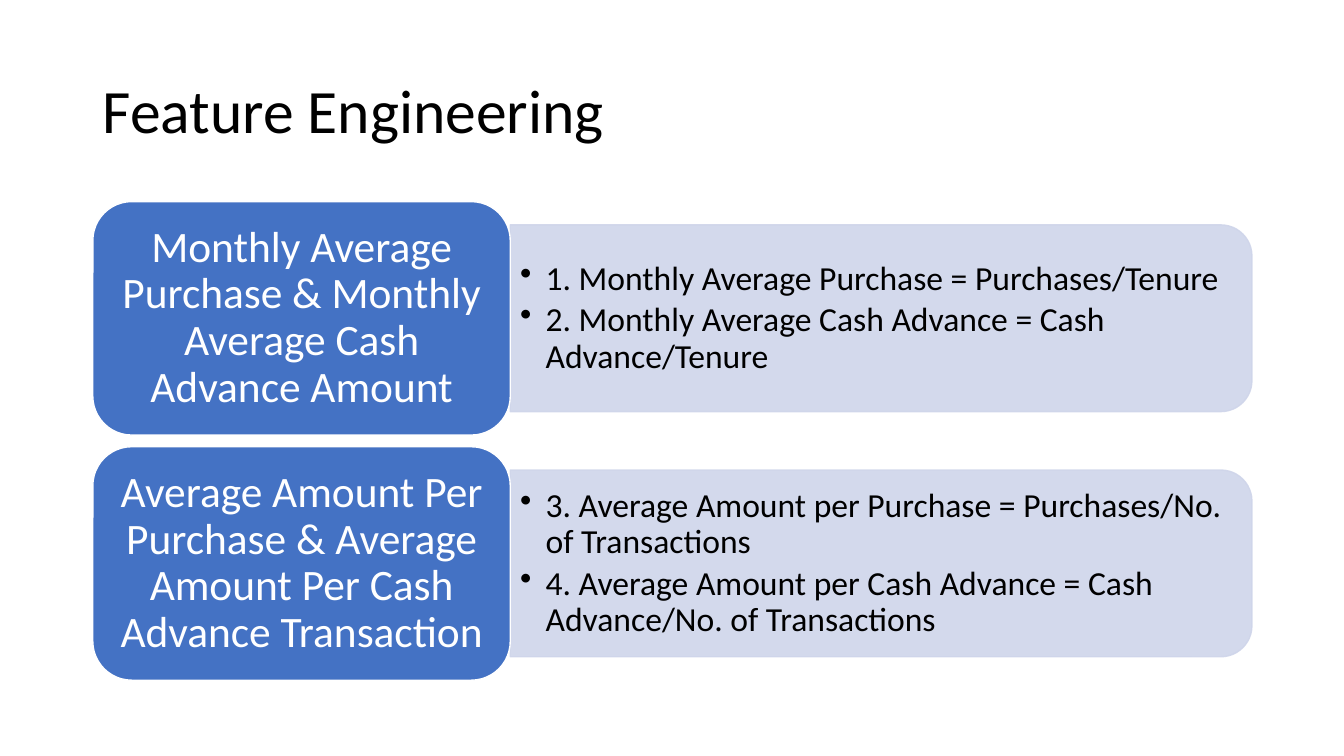
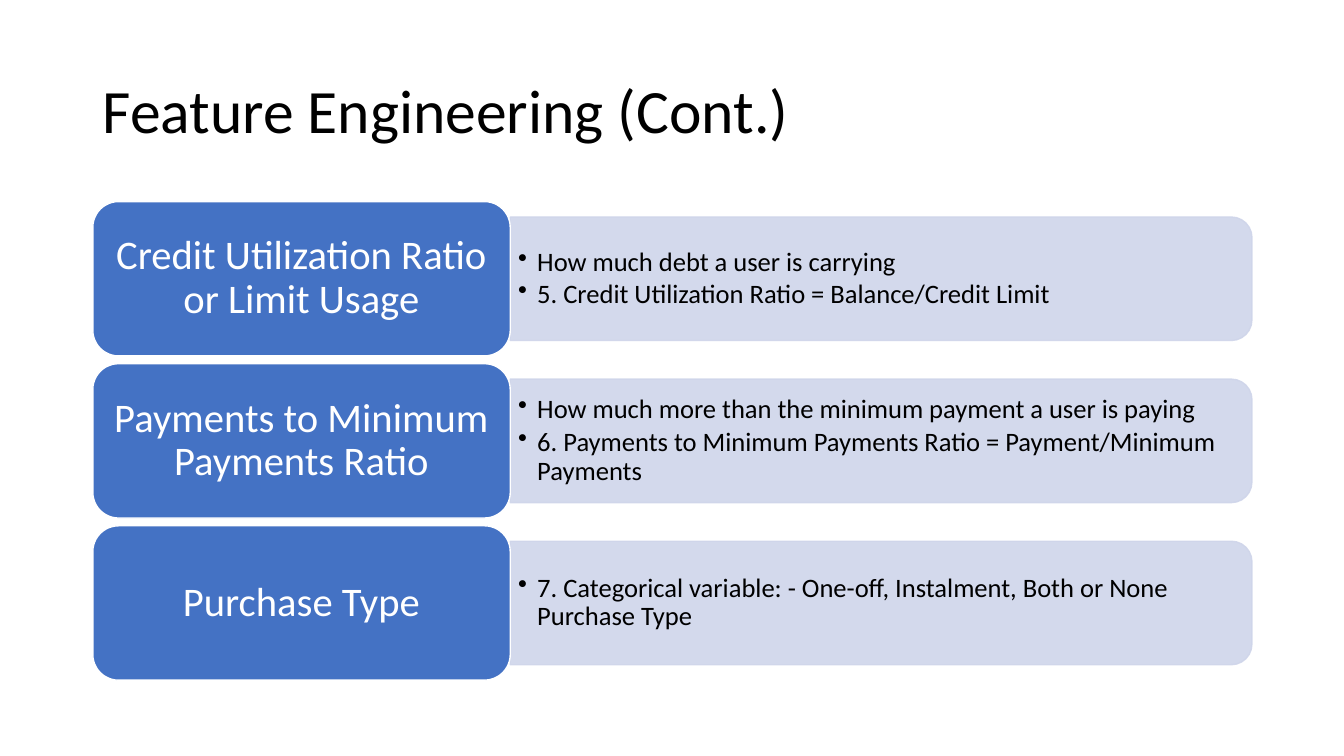
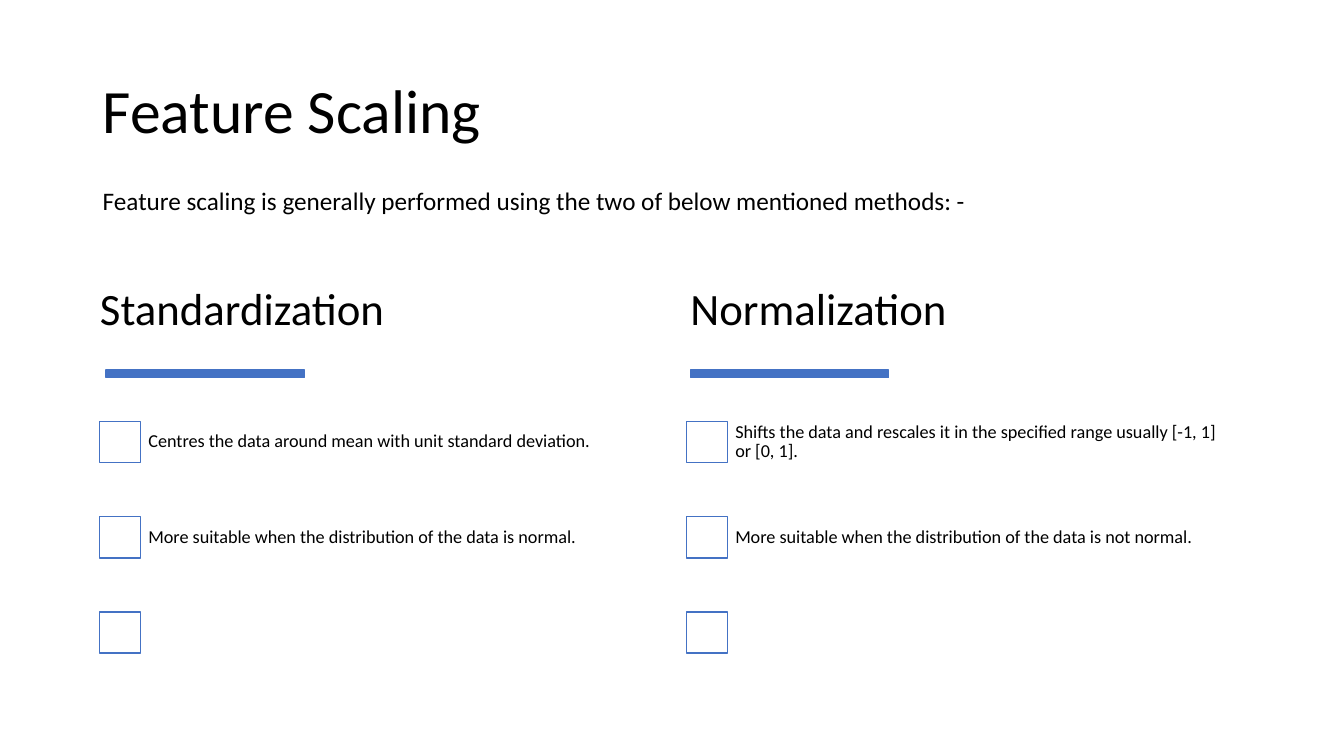
"""Build three slides on feature engineering and feature scaling."""
from dataclasses import dataclass

from lxml.etree import SubElement
from pptx import Presentation
from pptx.dml.color import RGBColor
from pptx.enum.shapes import MSO_SHAPE
from pptx.enum.text import MSO_ANCHOR, PP_ALIGN
from pptx.oxml.ns import qn
from pptx.shapes.autoshape import Shape
from pptx.slide import Slide
from pptx.text.text import TextFrame
from pptx.util import Cm, Pt

FONT = "Calibri"
BLACK = RGBColor(0x00, 0x00, 0x00)
WHITE = RGBColor(0xFF, 0xFF, 0xFF)
BLUE = RGBColor(0x44, 0x72, 0xC4)
PALE = RGBColor(0xCF, 0xD5, 0xEA)

LEFT = 2.34
TOP = 5.08
STACK = 12.06
CARD = 10.52
PANEL = 18.69
CORNER = 0.05


@dataclass
class Box:
    left: float
    top: float
    width: float
    height: float


@dataclass
class Style:
    size: float
    color: RGBColor = BLACK
    align: PP_ALIGN = PP_ALIGN.LEFT
    spacing: float = 0.9
    pad: tuple[float, float] = (0.25, 0.13)
    indent: float = 0
    wrap: bool = True


@dataclass
class Row:
    head: str
    points: list[str]


@dataclass
class Deck:
    title: str
    card: Style
    panel: Style
    rows: list[Row]


@dataclass
class Column:
    head: str
    left: float
    bar: float
    check: float
    points: list[str]


TITLE = Style(44)
INTRO = Style(18, spacing=1, wrap=False)
HEAD = Style(32, pad=(0.18, 0.1))
POINT = Style(13, pad=(0.25, 0.25))

DECKS = [
    Deck(
        "Feature Engineering",
        Style(31, WHITE, PP_ALIGN.CENTER, pad=(0.33, 0.15)),
        Style(24, indent=0.64),
        [
            Row("Monthly Average Purchase & Monthly Average Cash Advance Amount", [
                "1. Monthly Average Purchase = Purchases/Tenure",
                "2. Monthly Average Cash Advance = Cash Advance/Tenure",
            ]),
            Row("Average Amount Per Purchase & Average Amount Per Cash Advance Transaction", [
                "3. Average Amount per Purchase = Purchases/No. of Transactions",
                "4. Average Amount per Cash Advance = Cash Advance/No. of Transactions",
            ]),
        ],
    ),
    Deck(
        "Feature Engineering (Cont.)",
        Style(29, WHITE, PP_ALIGN.CENTER, pad=(0.3, 0.15)),
        Style(19, pad=(0.2, 0.1), indent=0.48),
        [
            Row("Credit Utilization Ratio or Limit Usage", [
                "How much debt a user is carrying",
                "5. Credit Utilization Ratio = Balance/Credit Limit",
            ]),
            Row("Payments to Minimum Payments Ratio", [
                "How much more than the minimum payment a user is paying",
                "6. Payments to Minimum Payments Ratio = Payment/Minimum Payments",
            ]),
            Row("Purchase Type", [
                "7. Categorical variable: - One-off, Instalment, Both or None Purchase Type",
            ]),
        ],
    ),
]

COLUMNS = [
    Column("Standardization", LEFT, 2.67, 2.51, [
        "Centres the data around mean with unit standard deviation.",
        "More suitable when the distribution of the data is normal.",
    ]),
    Column("Normalization", 17.22, 17.4, 17.3, [
        "Shifts the data and rescales it in the specified range usually [-1, 1] or [0, 1].",
        "More suitable when the distribution of the data is not normal.",
    ]),
]


def write(frame: TextFrame, lines: list[str], style: Style,
          anchor: MSO_ANCHOR = MSO_ANCHOR.MIDDLE) -> None:
    frame.word_wrap = style.wrap
    frame.vertical_anchor = anchor
    frame.margin_left = frame.margin_right = Cm(style.pad[0])
    frame.margin_top = frame.margin_bottom = Cm(style.pad[1])
    for index, line in enumerate(lines):
        para = frame.add_paragraph() if index else frame.paragraphs[0]
        para.text = line
        para.alignment = style.align
        para.line_spacing = style.spacing
        if style.indent:
            para.level = 1
            para.space_after = Pt(round(style.size * 0.15, 1))
            props = para._p.get_or_add_pPr()
            props.set("marL", str(Cm(style.indent)))
            props.set("indent", str(-Cm(style.indent)))
            SubElement(props, qn("a:buChar")).set("char", "•")
        font = para.font
        font.name = FONT
        font.size = Pt(style.size)
        font.color.rgb = style.color


def add_text(slide: Slide, box: Box, lines: list[str], style: Style,
             anchor: MSO_ANCHOR = MSO_ANCHOR.MIDDLE) -> None:
    text = slide.shapes.add_textbox(
        Cm(box.left), Cm(box.top), Cm(box.width), Cm(box.height))
    write(text.text_frame, lines, style, anchor)


def add_block(slide: Slide, kind: MSO_SHAPE, box: Box,
              fill: RGBColor, line: RGBColor) -> Shape:
    block = slide.shapes.add_shape(
        kind, Cm(box.left), Cm(box.top), Cm(box.width), Cm(box.height))
    block.shadow.inherit = False
    block.fill.solid()
    block.fill.fore_color.rgb = fill
    block.line.color.rgb = line
    block.line.width = Pt(1)
    return block


def add_panel(slide: Slide, box: Box) -> None:
    shift = (box.width - box.height) / 2
    turned = Box(box.left + shift, box.top - shift, box.height, box.width)
    panel = add_block(slide, MSO_SHAPE.ROUND_2_SAME_RECTANGLE, turned, PALE, PALE)
    panel.rotation = 90
    for color in panel._element.spPr.iter(qn("a:srgbClr")):
        SubElement(color, qn("a:alpha")).set("val", "90000")


def add_row(slide: Slide, row: Row, top: float, height: float, deck: Deck) -> None:
    panel = Box(LEFT + CARD, top + height * 0.1, PANEL, height * 0.8)
    add_panel(slide, panel)
    inset = panel.height * CORNER
    inner = Box(panel.left, panel.top + inset,
                PANEL - inset, panel.height - 2 * inset)
    add_text(slide, inner, row.points, deck.panel)
    card = add_block(slide, MSO_SHAPE.ROUNDED_RECTANGLE,
                     Box(LEFT, top, CARD, height), BLUE, WHITE)
    write(card.text_frame, [row.head], deck.card)


def add_column(slide: Slide, column: Column) -> None:
    add_block(slide, MSO_SHAPE.RECTANGLE, Box(column.bar, 9.32, 5, 0.2), BLUE, BLUE)
    add_text(slide, Box(column.left, 6.36, 14.07, 2.97), [column.head], HEAD)
    side, pitch, first = 1.04, 2.4, 10.62
    for index in range(3):
        top = first + index * pitch
        add_block(slide, MSO_SHAPE.RECTANGLE,
                  Box(column.check, top, side, side), WHITE, BLUE)
        if index < len(column.points):
            label = Box(column.check + 0.98, top + (side - pitch) / 2, 13.08, pitch)
            add_text(slide, label, [column.points[index]], POINT)


def main() -> None:
    show = Presentation()
    show.slide_width, show.slide_height = Cm(33.87), Cm(19.05)

    def start(title: str) -> Slide:
        slide = show.slides.add_slide(show.slide_layouts[6])
        add_text(slide, Box(LEFT, 1.01, 29.21, 3.68), [title], TITLE)
        return slide

    for deck in DECKS:
        slide = start(deck.title)
        count = len(deck.rows)
        height = STACK / (count + 0.05 * (count - 1))
        for index, row in enumerate(deck.rows):
            add_row(slide, row, TOP + index * height * 1.05, height, deck)

    slide = start("Feature Scaling")
    for column in COLUMNS:
        add_column(slide, column)
    add_text(slide, Box(LEFT, 4.55, 22.33, 1.02), [
        "Feature scaling is generally performed using the two of below mentioned methods: -",
    ], INTRO, MSO_ANCHOR.TOP)
    show.save("out.pptx")


if __name__ == "__main__":
    main()
